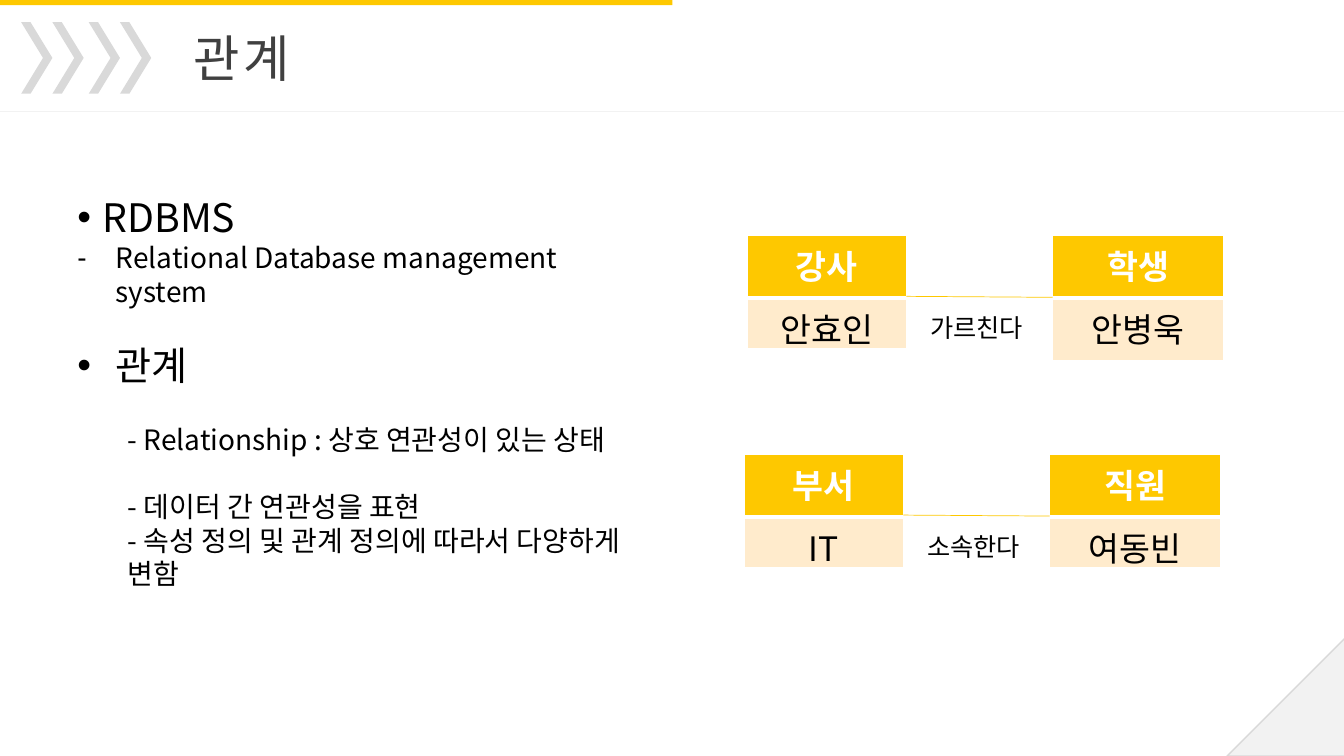
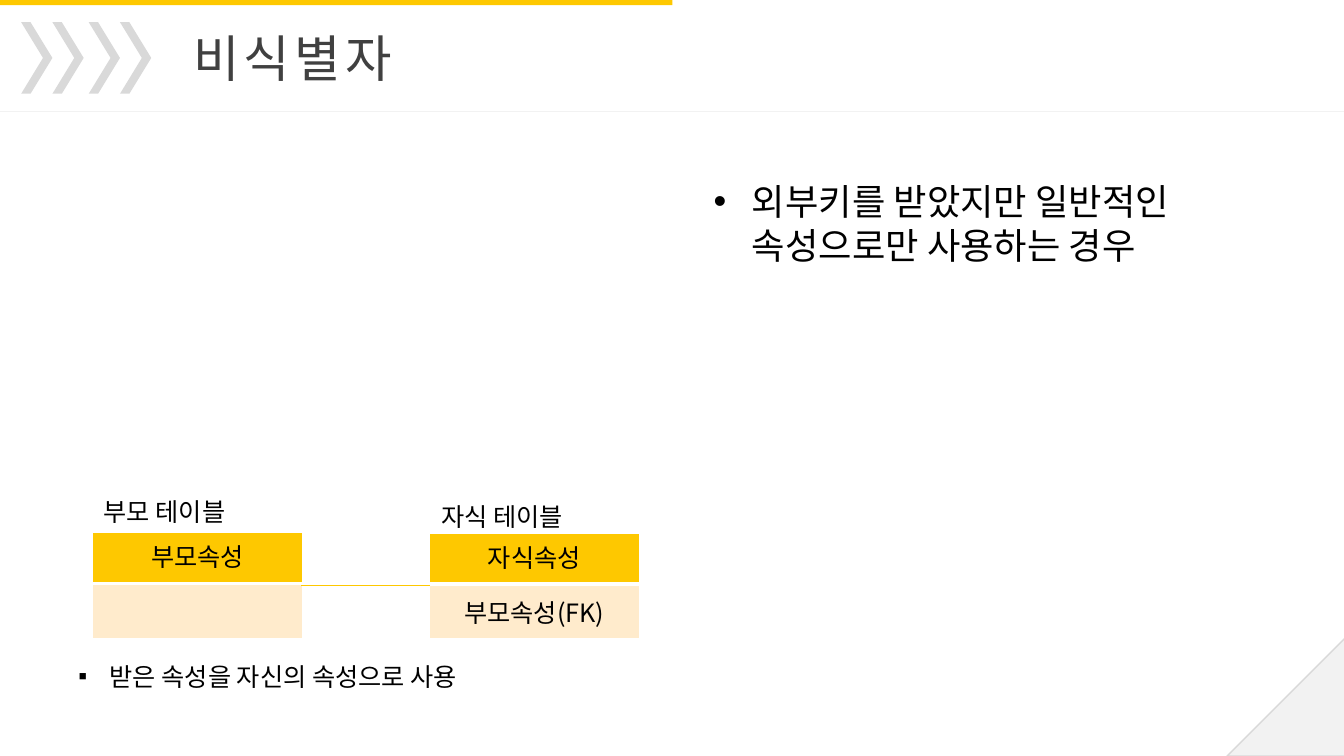
import pptx
import pptx.dml.color
import pptx.enum.shapes
import pptx.enum.text
import pptx.oxml.ns
import pptx.util
from lxml import etree
from pptx.util import Inches

FONT, BULLET_FONT = "Noto Sans CJK KR", "Arial"
YELLOW, CREAM, WHITE, BLACK = "FEC800", "FFEBCC", "FFFFFF", "000000"
PALE, GREY, DARK = "F2F2F2", "D9D9D9", "404040"
CHEVRON_LEFTS = (0.21, 0.52, 0.88, 1.19)
LABEL = dict(size=18)
HANGING = dict(indent=0.38, hanging=0.38)
DETAIL = dict(size=20, indent=0.5)

RELATION_NOTES = [
    ("RDBMS", dict(size=28, bullet="•", indent=0.25, hanging=0.25, line_spacing=1.2)),
    ("Relational Database management system", dict(HANGING, size=20, bullet="-")),
    ("관계", dict(HANGING, size=28, bullet="•", space_before=24)),
    ("- Relationship : 상호 연관성이 있는 상태", dict(DETAIL, space_before=24)),
    ("- 데이터 간 연관성을 표현", dict(DETAIL, space_before=24)),
    ("- 속성 정의 및 관계 정의에 따라서 다양하게 변함", DETAIL),
]
KEY_NOTES = [
    ("외부키를 받았지만 일반적인 속성으로만 사용하는 경우",
     dict(HANGING, size=25.9, bullet="•")),
]
USAGE_NOTES = [
    ("받은 속성을 자신의 속성으로 사용",
     dict(LABEL, bullet="▪", indent=0.31, hanging=0.31)),
]
RELATIONS = [
    (7.41, 2.34, ("강사", "안효인"), ("학생", "안병욱"), 0.62, "가르친다"),
    (7.38, 4.51, ("부서", "IT"), ("직원", "여동빈"), 0.5, "소속한다"),
]
KEY_TABLES = [
    (0.92, 5.28, (0.51, 0.55), ("부모속성", ""), "부모 테이블", 0.93, 4.87),
    (4.26, 5.29, (0.5, 0.55), ("자식속성", "부모속성(FK)"), "자식 테이블", 4.28, 4.92),
]


def rgb(color):
    return pptx.dml.color.RGBColor.from_string(color)


def child(parent, tag, **attributes):
    return etree.SubElement(parent, pptx.oxml.ns.qn(tag), attributes)


def write_text(paragraph, text, size=18, color=BLACK, bold=False, align="LEFT", bullet=None,
               indent=0, hanging=0, line_spacing=None, space_before=0, tracking=None):
    paragraph.alignment = getattr(pptx.enum.text.PP_ALIGN, align)
    if line_spacing:
        paragraph.line_spacing = line_spacing
    if space_before:
        paragraph.space_before = pptx.util.Pt(space_before)
    properties = paragraph._p.get_or_add_pPr()
    properties.set("marL", str(Inches(indent)))
    properties.set("indent", str(Inches(-hanging)))
    if bullet:
        child(properties, "a:buFont", typeface=BULLET_FONT)
        child(properties, "a:buChar", char=bullet)
    run = paragraph.add_run()
    run.text = text
    run.font.size = pptx.util.Pt(size)
    run.font.bold = bold
    run.font.color.rgb = rgb(color)
    run.font.name = FONT
    run_properties = run._r.get_or_add_rPr()
    child(run_properties, "a:ea", typeface=FONT)
    if tracking:
        run_properties.set("spc", str(tracking * 100))


def add_text(slide, left, top, width, height, paragraphs, wrap=True):
    box = slide.shapes.add_textbox(Inches(left), Inches(top), Inches(width), Inches(height))
    frame = box.text_frame
    frame.word_wrap = wrap
    for index, (text, style) in enumerate(paragraphs):
        paragraph = frame.add_paragraph() if index else frame.paragraphs[0]
        write_text(paragraph, text, **style)


def add_shape(slide, kind, left, top, width, height, fill, line=None):
    shape = slide.shapes.add_shape(
        getattr(pptx.enum.shapes.MSO_SHAPE, kind),
        Inches(left), Inches(top), Inches(width), Inches(height))
    shape.shadow.inherit = False
    shape.fill.solid()
    shape.fill.fore_color.rgb = rgb(fill)
    if line:
        shape.line.color.rgb = rgb(line)
        shape.line.width = pptx.util.Pt(1)
    else:
        shape.line.fill.background()
    return shape


def add_line(slide, start, end, color):
    line = slide.shapes.add_connector(
        pptx.enum.shapes.MSO_CONNECTOR.STRAIGHT, *map(Inches, (*start, *end)))
    line.line.color.rgb = rgb(color)
    line.line.width = pptx.util.Pt(0.5)
    child(line._element.spPr, "a:effectLst")


def set_borders(cell, **widths):
    properties = cell._tc.get_or_add_tcPr()
    for side in "LRTB":
        border = child(properties, f"a:ln{side}", w=str(pptx.util.Pt(widths.get(side, 1))))
        child(child(border, "a:solidFill"), "a:srgbClr", val=WHITE)


def add_entity(slide, left, top, width, heights, texts, styles, bottom=0.05, body_anchor="TOP"):
    frame = slide.shapes.add_table(
        2, 1, Inches(left), Inches(top), Inches(width), Inches(sum(heights)))
    table = frame.table
    table.horz_banding = False
    table.columns[0].width = Inches(width)
    rows = zip(heights, texts, styles, (YELLOW, CREAM), ("B", "T"), ("TOP", body_anchor))
    for index, (height, text, style, fill, thick_side, anchor) in enumerate(rows):
        table.rows[index].height = Inches(height)
        cell = table.cell(index, 0)
        cell.margin_bottom = Inches(bottom)
        cell.vertical_anchor = getattr(pptx.enum.text.MSO_ANCHOR, anchor)
        set_borders(cell, **{thick_side: 3})
        cell.fill.solid()
        cell.fill.fore_color.rgb = rgb(fill)
        write_text(cell.text_frame.paragraphs[0], text, align="CENTER", **style)


def add_base_slide(presentation, title, title_width):
    slide = presentation.slides.add_slide(presentation.slide_layouts[6])
    corner = add_shape(slide, "RIGHT_TRIANGLE", 12.17, 6.33, 1.17, 1.17, PALE, GREY)
    corner.rotation = 270
    add_shape(slide, "RECTANGLE", 0, 0, 6.67, 0.05, YELLOW)
    title_style = dict(size=36, color=DARK, align="JUSTIFY", tracking=3)
    add_text(slide, 1.82, 0.22, title_width, 0.71, [(title, title_style)], wrap=False)
    add_line(slide, (0, 1.1), (13.33, 1.1), PALE)
    for left in CHEVRON_LEFTS:
        chevron = add_shape(slide, "CHEVRON", left, 0.22, 0.31, 0.71, GREY)
        chevron.adjustments[0] = 0.7
    return slide


def build_relation_slide(presentation):
    slide = add_base_slide(presentation, "관계", 1.28)
    styles = (dict(size=24, color=WHITE, bold=True), dict(size=24))
    for left, top, first, second, second_height, verb in RELATIONS:
        right = left + 3.03
        add_entity(slide, left, top, 1.58, (0.62, 0.5), first, styles, bottom=0)
        add_entity(slide, right, top, 1.7, (0.62, second_height), second, styles, bottom=0)
        add_line(slide, (left + 1.58, top + 0.6), (right, top + 0.61), YELLOW)
        add_text(slide, left + 1.72, top + 0.71, 1.3, 0.4, [(verb, LABEL)])
    add_text(slide, 0.67, 1.78, 5.86, 4.92, RELATION_NOTES)


def build_key_slide(presentation):
    slide = add_base_slide(presentation, "비식별자", 2.45)
    add_text(slide, 6.98, 1.73, 5.69, 4.95, KEY_NOTES)
    styles = (dict(size=18), dict(size=18))
    for left, top, heights, texts, label, label_left, label_top in KEY_TABLES:
        add_entity(slide, left, top, 2.08, heights, texts, styles, body_anchor="MIDDLE")
        add_text(slide, label_left, label_top, 1.67, 0.4, [(label, LABEL)])
    add_line(slide, (2.99, 5.81), (4.26, 5.81), YELLOW)
    add_text(slide, 0.68, 6.51, 5.48, 0.4, USAGE_NOTES)


def main():
    presentation = pptx.Presentation()
    presentation.slide_width = Inches(13.33)
    presentation.slide_height = Inches(7.5)
    build_relation_slide(presentation)
    build_key_slide(presentation)
    presentation.save("out.pptx")


if __name__ == "__main__":
    main()
